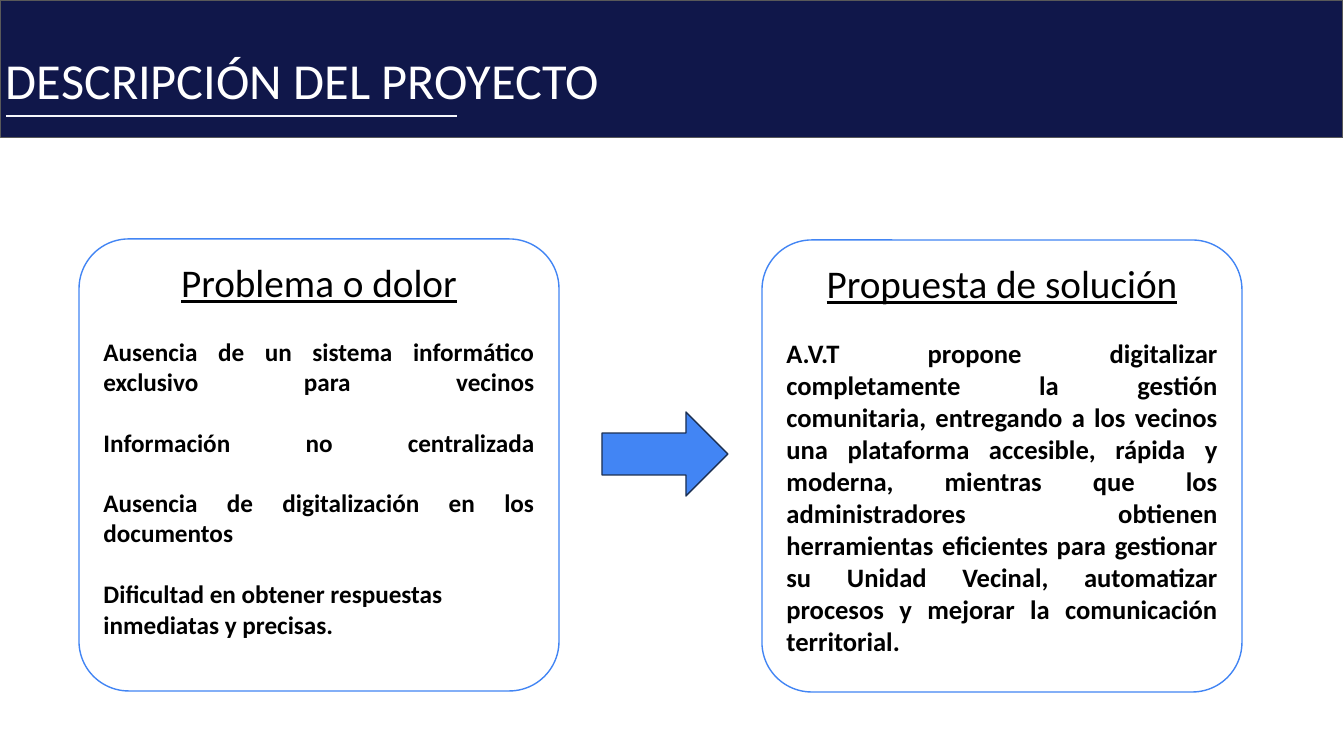
from pptx import Presentation
from pptx.dml.color import RGBColor
from pptx.enum.shapes import MSO_CONNECTOR, MSO_SHAPE
from pptx.enum.text import MSO_ANCHOR, PP_ALIGN
from pptx.oxml.ns import qn
from pptx.util import Emu, Pt

TITLE = "DESCRIPCIÓN DEL PROYECTO"
FONT = "Calibri"
COLORS = {
    "navy": "10174A", "edge": "595959", "white": "FFFFFF", "rule": "F5F7FC",
    "blue": "4285F4", "dark": "1C3052", "black": "000000",
}
JUST, LEFT = PP_ALIGN.JUSTIFY, PP_ALIGN.LEFT
# Each card: left and top in px, heading, body size, then (text, alignment, gap before in pt).
# A closing line break (\v) stretches the last justified line and leaves a line free below.
CARDS = [
    (79, 239, "Problema o dolor", 18, [
        ("Ausencia de un sistema informático exclusivo para vecinos\v", JUST, 22),
        ("Información no centralizada\v", JUST, 0),
        ("Ausencia de digitalización en los documentos", JUST, 0),
        ("Dificultad en obtener respuestas inmediatas y precisas.", LEFT, 22),
    ]),
    (762, 240, "Propuesta de solución", 19, [
        ("A.V.T propone digitalizar completamente la gestión comunitaria, "
         "entregando a los vecinos una plataforma accesible, rápida y moderna, "
         "mientras que los administradores obtienen herramientas eficientes para "
         "gestionar su Unidad Vecinal, automatizar procesos y mejorar la "
         "comunicación territorial.", JUST, 22),
    ]),
]
CARD_W, CARD_H = 480, 452


def px(*vals):
    return [Emu(round(v * 914400 / 100.8)) for v in vals]


def color(name):
    return RGBColor.from_string(COLORS[name])


def add_box(kind, area, fill, line, width):
    box = slide.shapes.add_shape(kind, *px(*area))
    box.shadow.inherit = False
    box.fill.solid()
    box.fill.fore_color.rgb = color(fill)
    box.line.color.rgb = color(line)
    box.line.width = Pt(width)
    return box


def write(par, text, size, ink, align=LEFT, gap=0, bold=False, under=False):
    par.text = text
    par.alignment = align
    if gap:
        par.space_before = Pt(gap)
    for run in par.runs:
        font = run.font
        font.name, font.size = FONT, Pt(size)
        font.bold, font.underline = bold, under
        font.color.rgb = color(ink)
    for stop in par._p.findall(qn("a:br")):
        stop.get_or_add_rPr().set("sz", str(size * 100)) if hasattr(
            stop, "get_or_add_rPr") else stop.makeelement(qn("a:rPr"), {})
        if stop.find(qn("a:rPr")) is None:
            mark = stop.makeelement(qn("a:rPr"), {"sz": str(size * 100)})
            mark.append(mark.makeelement(qn("a:latin"), {"typeface": FONT}))
            stop.append(mark)


def add_card(left, top, head, size, body):
    card = add_box(MSO_SHAPE.ROUNDED_RECTANGLE, (left, top, CARD_W, CARD_H),
                   "white", "blue", 1)
    card.adjustments[0] = 0.11
    frame = card.text_frame
    frame.word_wrap = True
    frame.vertical_anchor = MSO_ANCHOR.TOP
    write(frame.paragraphs[0], head, 28, "black", PP_ALIGN.CENTER, under=True)
    for text, align, gap in body:
        write(frame.add_paragraph(), text, size, "black", align, gap, bold=True)


deck = Presentation()
deck.slide_width, deck.slide_height = px(1344, 756)
slide = deck.slides.add_slide(deck.slide_layouts[6])

add_box(MSO_SHAPE.RECTANGLE, (1, 0, 1342, 138), "navy", "edge", 0.75)
title = slide.shapes.add_textbox(*px(-4, 44, 744, 72)).text_frame
title.word_wrap = True
write(title.paragraphs[0], TITLE, 36, "white")

rule = slide.shapes.add_connector(MSO_CONNECTOR.STRAIGHT, *px(6, 116, 457, 116))
rule.line.color.rgb = color("rule")
rule.line.width = Pt(1.25)
props = rule._element.spPr
props.append(props.makeelement(qn("a:effectLst"), {}))

for card in CARDS:
    add_card(*card)
add_box(MSO_SHAPE.RIGHT_ARROW, (602, 412, 126, 84), "blue", "dark", 1)

deck.save("out.pptx")
